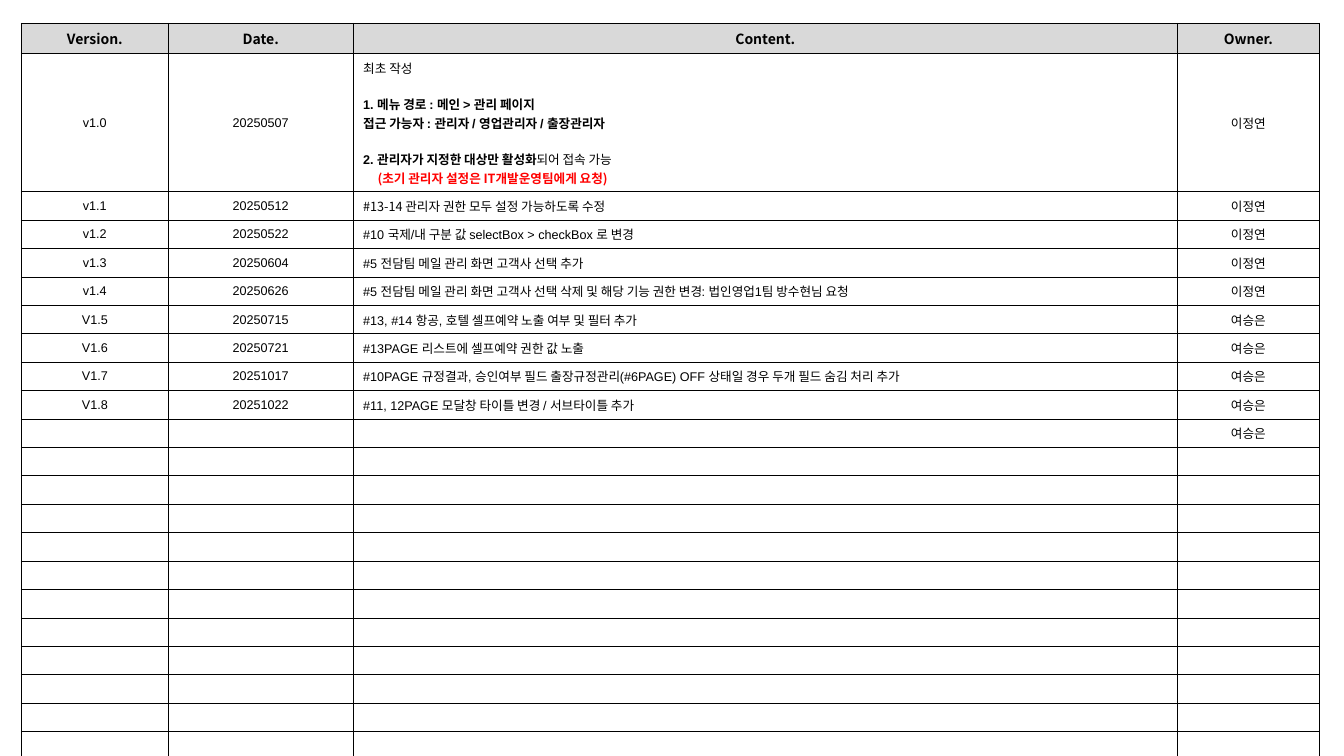
from dataclasses import dataclass

from lxml.etree import SubElement
from pptx import Presentation
from pptx.dml.color import RGBColor
from pptx.enum.text import MSO_ANCHOR, PP_ALIGN
from pptx.oxml import parse_xml
from pptx.oxml.ns import nsdecls, qn
from pptx.util import Cm, Pt


@dataclass(frozen=True)
class Theme:
    black: str = "000000"
    red: str = "FF0000"
    gray: str = "D9D9D9"
    latin: str = "Arial"
    hangul: str = "Noto Sans CJK KR"
    head: int = 10
    body: int = 9
    gap: int = 13
    line: int = 9525


THEME = Theme()
ROWS = 28
WIDTHS = (3.7, 4.66, 20.77, 3.58)
HEADS = ("Version.", "Date.", "Content.", "Owner.")

HANGUL = {"name": THEME.hangul}
BOLD = {"bold": True}
HEAD = {**HANGUL, **BOLD, "size": Pt(THEME.head)}
ALERT = {**HANGUL, **BOLD, "color": THEME.red}
GAP = {"space_before": Pt(THEME.gap)}
MID = {"alignment": PP_ALIGN.CENTER}

# Each paragraph: its runs, its format, its indent in cm
FIRST = [
    ([("최초 작성", HANGUL)], {}, 0),
    ([("1. 메뉴 경로 : 메인 > 관리 페이지", BOLD)], GAP, 0),
    ([("접근 가능자 : 관리자 / 영업관리자 / 출장관리자", BOLD)], {}, 0),
    ([("2. ", BOLD), ("관리자가 지정한 대상만 활성화", {**HANGUL, **BOLD}),
      ("되어 접속 가능", HANGUL)], GAP, 0),
    ([("(초기 관리자 설정은 IT개발운영팀에게 요청)", ALERT)], {}, 0.36),
]

LOG = [
    ("v1.1", "20250512", "#13-14 관리자 권한 모두 설정 가능하도록 수정", "이정연"),
    ("v1.2", "20250522", "#10 국제/내 구분 값 selectBox > checkBox 로 변경", "이정연"),
    ("v1.3", "20250604", "#5 전담팀 메일 관리 화면 고객사 선택 추가", "이정연"),
    ("v1.4", "20250626",
     "#5 전담팀 메일 관리 화면 고객사 선택 삭제 및 해당 기능 권한 변경: 법인영업1팀 방수현님 요청",
     "이정연"),
    ("V1.5", "20250715", "#13, #14 항공, 호텔 셀프예약 노출 여부 및 필터 추가", "여승은"),
    ("V1.6", "20250721", "#13PAGE 리스트에 셀프예약 권한 값 노출", "여승은"),
    ("V1.7", "20251017",
     "#10PAGE 규정결과, 승인여부 필드 출장규정관리(#6PAGE) OFF 상태일 경우 두개 필드 숨김 처리 추가",
     "여승은"),
    ("V1.8", "20251022", "#11, 12PAGE 모달창 타이틀 변경 / 서브타이틀 추가", "여승은"),
    ("", "", "", "여승은"),
]


def apply(target, form):
    for key, value in form.items():
        setattr(target, key, value)


def add_run(para, text, form):
    run = para.add_run()
    run.text = text
    base = {"name": THEME.latin, "size": Pt(THEME.body), "bold": False}
    look = {**base, **form}
    run.font.color.rgb = RGBColor.from_string(look.pop("color", THEME.black))
    apply(run.font, look)
    SubElement(run.font._element, qn("a:ea"), typeface=THEME.hangul)


def write(cell, paras):
    """Fill a cell with paragraphs of formatted runs."""
    frame = cell.text_frame
    for num, (runs, form, indent) in enumerate(paras):
        para = frame.add_paragraph() if num else frame.paragraphs[0]
        apply(para, form)
        if indent:
            para._p.get_or_add_pPr().set("marL", str(Cm(indent)))
        for text, look in runs:
            add_run(para, text, look)


def keep_low(cell):
    """Give an empty cell the body type size, so its row stays low."""
    para = cell.text_frame.paragraphs[0]._p
    end = SubElement(para, qn("a:endParaRPr"), sz=str(THEME.body * 100))
    for tag in ("a:latin", "a:ea"):
        SubElement(end, qn(tag), typeface=THEME.hangul)


def frame_cell(cell, fill):
    cell.vertical_anchor = MSO_ANCHOR.MIDDLE
    if fill:
        cell.fill.solid()
        cell.fill.fore_color.rgb = RGBColor.from_string(fill)
    else:
        cell.fill.background()
    props = cell._tc.get_or_add_tcPr()
    for spot, side in enumerate("LRTB"):
        props.insert(spot, parse_xml(
            f'<a:ln{side} {nsdecls("a")} w="{THEME.line}"><a:solidFill>'
            f'<a:srgbClr val="{THEME.black}"/></a:solidFill></a:ln{side}>'))


def add_grid(slide):
    shape = slide.shapes.add_table(
        ROWS, len(WIDTHS), Cm(0.54), Cm(0.59), Cm(sum(WIDTHS)), Cm(20.12))
    table = shape.table
    apply(table, {"first_row": False, "horz_banding": False})
    for col, width in zip(table.columns, WIDTHS):
        col.width = Cm(width)
    for num, row in enumerate(table.rows):
        row.height = Cm({0: 0.76, 1: 3.48}.get(num, 0.71))
        for cell in row.cells:
            frame_cell(cell, None if num else THEME.gray)
    return table


def log_cell(row, col, text):
    """Return the one paragraph of a log entry's cell."""
    plain = col == 3 or (row == 2 and col == 2)
    return [([(text, HANGUL if plain else {})], {} if col == 2 else MID, 0)]


def fill_grid(table):
    for col, text in enumerate(HEADS):
        write(table.cell(0, col), [([(text, HEAD)], MID, 0)])
    write(table.cell(1, 2), FIRST)
    entries = [("v1.0", "20250507", "", "이정연"), *LOG]
    for row, entry in enumerate(entries, 1):
        for col, text in enumerate(entry):
            if text:
                write(table.cell(row, col), log_cell(row, col, text))
    for cell in table.iter_cells():
        if not cell.text:
            keep_low(cell)


def main():
    deck = Presentation()
    apply(deck, {"slide_width": Cm(33.87), "slide_height": Cm(19.05)})
    slide = deck.slides.add_slide(deck.slide_layouts[6])
    fill_grid(add_grid(slide))
    deck.save("out.pptx")


if __name__ == "__main__":
    main()
